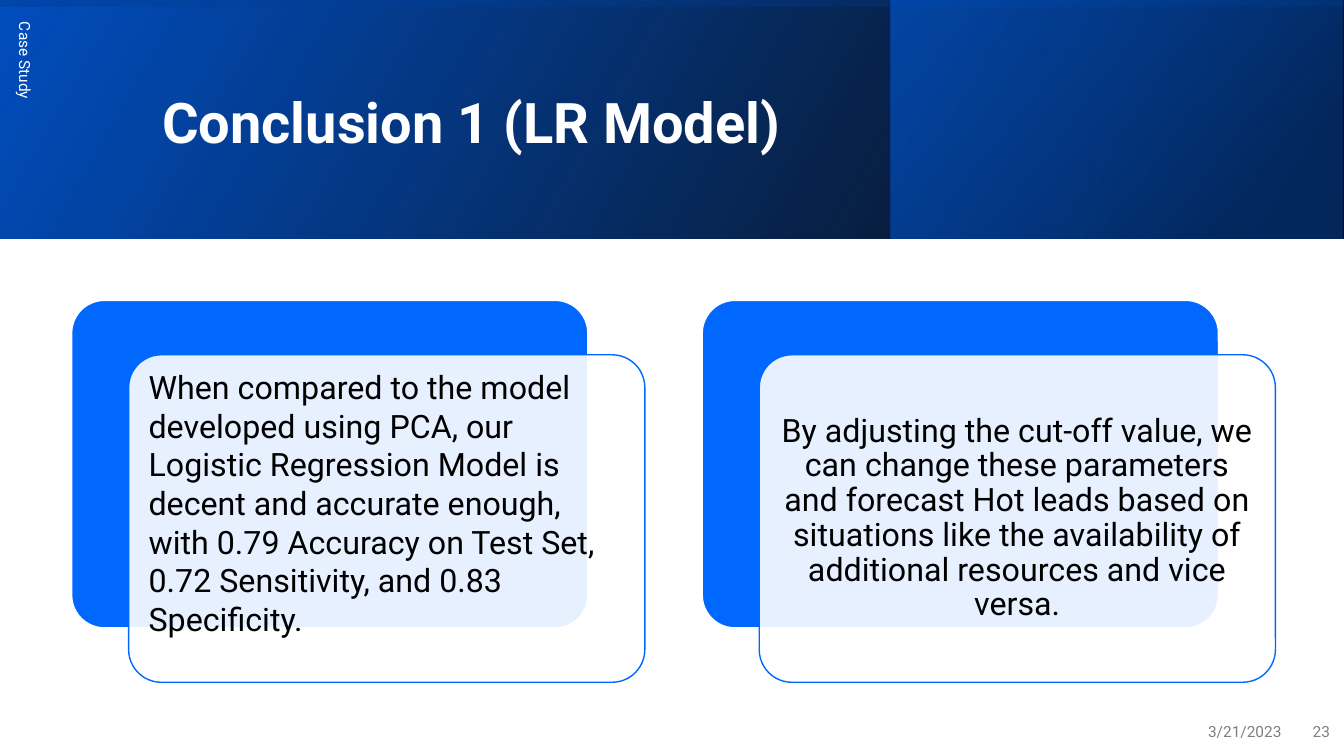
import lxml.etree
import pptx
import pptx.dml.color
import pptx.enum.shapes
import pptx.enum.text
import pptx.oxml.ns
import pptx.util

ALIGN = pptx.enum.text.PP_ALIGN
SHAPE = pptx.enum.shapes.MSO_SHAPE


def color(value):
    return pptx.dml.color.RGBColor.from_string(value)


class SlideBuilder:
    font = "Roboto"
    white, black, gray = "FFFFFF", "000000", "808080"
    blue, deep_blue, navy = "0068FF", "004EBF", "003480"

    def __init__(self, deck):
        self.width, self.height = deck.slide_width, deck.slide_height
        self.page = deck.slides.add_slide(deck.slide_layouts[6])

    def frame(self, bounds, rotation=0):
        left, top, width, height = (
            share * side / 100
            for share, side in zip(bounds, (self.width, self.height) * 2)
        )
        if rotation % 180:
            left += (width - height) / 2
            top += (height - width) / 2
            width, height = height, width
        return [int(length) for length in (left, top, width, height)]

    def set_opacity(self, shape, opacities):
        fills = list(shape._element.spPr.iter(pptx.oxml.ns.qn("a:srgbClr")))
        for fill, opacity in zip(fills, opacities):
            lxml.etree.SubElement(fill, pptx.oxml.ns.qn("a:alpha"), val=str(opacity * 1000))

    def gradient(self, bounds, stops, angle, rotation=0):
        box = self.page.shapes.add_shape(SHAPE.RECTANGLE, *self.frame(bounds, rotation))
        box.shadow.inherit = False
        box.line.fill.background()
        box.rotation = rotation
        box._element.spPr.xfrm.set("flipH", "1")
        box.fill.gradient()
        box.fill.gradient_angle = 360 - angle
        for stop, (position, value, opacity) in zip(box.fill.gradient_stops, stops):
            stop.position = position / 100
            stop.color.rgb = color(value)
        self.set_opacity(box, [opacity for position, value, opacity in stops])

    def panel(self, bounds, fill, line, opacity=100):
        box = self.page.shapes.add_shape(SHAPE.ROUNDED_RECTANGLE, *self.frame(bounds))
        box.shadow.inherit = False
        box.adjustments[0] = 0.1
        box.fill.solid()
        box.fill.fore_color.rgb = color(fill)
        self.set_opacity(box, [opacity])
        box.line.color.rgb = color(line)
        box.line.width = pptx.util.Pt(1)

    def text(self, bounds, words, size, value, align=ALIGN.LEFT, bold=False,
             spacing=1.0, rotation=0):
        box = self.page.shapes.add_textbox(*self.frame(bounds, rotation))
        box.rotation = rotation
        box.text_frame.word_wrap = True
        box.text_frame.vertical_anchor = pptx.enum.text.MSO_ANCHOR.MIDDLE
        para = box.text_frame.paragraphs[0]
        para.alignment = align
        para.line_spacing = spacing
        span = para.add_run()
        span.text = words
        span.font.name = self.font
        span.font.size = pptx.util.Pt(size)
        span.font.bold = bold
        span.font.color.rgb = color(value)

    def card(self, left, words, align, spacing, lift):
        top, width, height = 39.73, 38.41, 43.33
        front_left, front_top = left + 4.24, top + 7.2
        self.panel((left, top, width, height), self.blue, self.white)
        self.panel((front_left, front_top, width, height), self.white, self.blue, 90)
        self.text((front_left + 0.75, front_top + 1.33 - lift, width - 1.5, height - 2.66),
                  words, 23, self.black, align, spacing=spacing)


def main():
    deck = pptx.Presentation()
    deck.slide_width = pptx.util.Inches(13.33)
    deck.slide_height = pptx.util.Inches(7.5)
    slide = SlideBuilder(deck)

    banner = (0, 0, 100, 31.6)
    slide.gradient(banner, [(0, slide.black, 96), (100, slide.deep_blue, 100)], 330)
    slide.gradient((66.3, 0, 33.6, 31.6),
                   [(19, slide.navy, 68), (100, slide.blue, 48)], 320)
    slide.gradient(banner, [(23, slide.deep_blue, 16), (99, slide.black, 45)], 350, 270)

    slide.text((11.33, 5.07, 79.74, 22.93), "Conclusion 1 (LR Model)", 40, slide.white,
               bold=True, spacing=0.9)
    slide.text((0.38, 1.6, 3, 60), "Case Study", 11, slide.white, rotation=90)
    for left, width, words in ((73.59, 22.51, "3/21/2023"), (96.02, 3.68, "23")):
        slide.text((left, 94.13, width, 5.33), words, 11, slide.gray, ALIGN.RIGHT)

    cards = (
        ("When compared to the model developed using PCA, our Logistic Regression Model "
         "is decent and accurate enough, with 0.79 Accuracy on Test Set, "
         "0.72 Sensitivity, and 0.83 Specificity.", ALIGN.LEFT, 1.0, 2.1),
        ("By adjusting the cut-off value, we can change these parameters and forecast "
         "Hot leads based on situations like the availability of additional resources "
         "and vice versa.", ALIGN.CENTER, 0.9, 0),
    )
    for column, (words, align, spacing, lift) in enumerate(cards):
        slide.card(5.33 + 46.92 * column, words, align, spacing, lift)

    deck.save("out.pptx")


if __name__ == "__main__":
    main()
